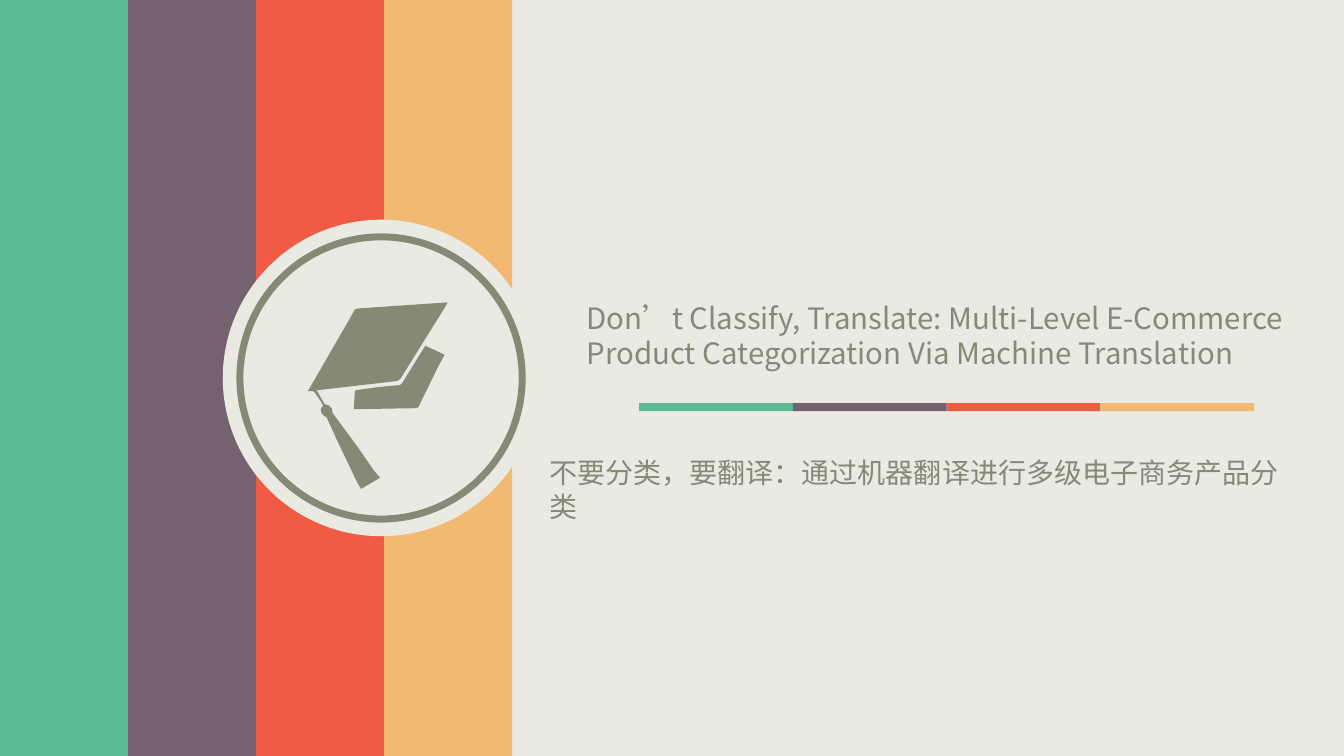
from pptx import Presentation, util as u
from pptx.dml.color import RGBColor
from pptx.enum import shapes, text
from pptx.oxml.ns import qn
from lxml import etree

COLORS = {"paper": "EBEAE2", "olive": "858976", "green": "5ABB93",
          "plum": "756271", "red": "EF5B43", "sand": "F2B973"}
STRIPES = ("green", "plum", "red", "sand")
FONT = "Noto Sans CJK SC"
BOARD_AND_TASSEL = [
    (3.14, 3.87), (3.22, 4.01), (3.26, 4.02), (3.29, 4.05), (3.3, 4.1),
    (3.53, 4.41), (3.71, 4.67), (3.77, 4.74), (3.58, 4.85), (3.54, 4.78),
    (3.33, 4.34), (3.24, 4.14), (3.22, 4.13), (3.19, 4.1), (3.18, 4.06),
    (3.2, 4.03), (3.2, 4.01), (3.12, 3.89), (3.1, 3.88), (3.05, 3.88),
    (3.06, 3.87), (3.47, 3.16), (3.52, 3.07), (3.55, 3.06), (4.29, 3.01),
    (4.44, 3), (4.4, 3.07), (3.97, 3.76), (3.94, 3.78), (3.16, 3.87)]
CAP_BASE = [
    (3.51, 4.06), (3.52, 3.88), (3.54, 3.87), (3.76, 3.84), (3.97, 3.82),
    (3.99, 3.8), (4.2, 3.46), (4.22, 3.43), (4.41, 3.52), (4.34, 3.65),
    (4.15, 4.04), (4.12, 4.05), (3.52, 4.06)]


def rgb(name):
    """Return the named colour."""
    return RGBColor.from_string(COLORS[name])


def paint(shape, fill=None, line=None, width=0):
    """Give a shape its fill and outline, without a shadow."""
    shape.shadow.inherit = False
    if fill:
        shape.fill.solid()
        shape.fill.fore_color.rgb = rgb(fill)
    else:
        shape.fill.background()
    if line:
        shape.line.color.rgb = rgb(line)
        shape.line.width = u.Pt(width)
    else:
        shape.line.fill.background()


def add_bands(page, left, top, width, height):
    """Place the four coloured bands side by side."""
    for index, color in enumerate(STRIPES):
        band = page.shapes.add_shape(
            shapes.MSO_SHAPE.RECTANGLE, u.Inches(left + index * width),
            u.Inches(top), u.Inches(width), u.Inches(height))
        paint(band, color)


def add_circle(page, center, radius, **look):
    """Draw a circle around a centre point."""
    x, y = center
    circle = page.shapes.add_shape(
        shapes.MSO_SHAPE.OVAL, u.Inches(x - radius), u.Inches(y - radius),
        u.Inches(2 * radius), u.Inches(2 * radius))
    paint(circle, **look)


def add_outline(page, points, fill):
    """Draw a closed filled outline."""
    start, *rest = [(u.Inches(x), u.Inches(y)) for x, y in points]
    builder = page.shapes.build_freeform(*start)
    builder.add_line_segments(rest, close=True)
    paint(builder.convert_to_shape(), fill)


def add_text(page, area, lines, size):
    """Add a wrapped text box with one paragraph per line."""
    box = page.shapes.add_textbox(*map(u.Inches, area))
    frame = box.text_frame
    frame.word_wrap = True
    frame.vertical_anchor = text.MSO_ANCHOR.TOP
    for index, line in enumerate(lines):
        para = frame.paragraphs[0] if index == 0 else frame.add_paragraph()
        span = para.add_run()
        span.text = line
        for name, value in {"size": u.Pt(size), "name": FONT}.items():
            setattr(span.font, name, value)
        span.font.color.rgb = rgb("olive")
        etree.SubElement(span.font._element, qn("a:ea"), typeface=FONT)


def main():
    """Build the title slide."""
    deck = Presentation()
    deck.slide_width, deck.slide_height = u.Inches(13.33), u.Inches(7.5)
    page = deck.slides.add_slide(deck.slide_layouts[6])
    page.background.fill.solid()
    page.background.fill.fore_color.rgb = rgb("paper")

    add_bands(page, 0, 0, 1.27, 7.5)
    add_circle(page, (3.78, 3.75), 1.57, fill="paper")
    add_circle(page, (3.78, 3.75), 1.4, line="olive", width=5)
    add_outline(page, BOARD_AND_TASSEL, "olive")
    add_outline(page, CAP_BASE, "olive")

    add_bands(page, 6.34, 4, 1.525, 0.08)
    add_text(page, (5.72, 2.93, 7.34, 0.82),
             ["Don’t Classify, Translate: Multi-Level E-Commerce",
              "Product Categorization Via Machine Translation"], 21)
    add_text(page, (5.35, 4.47, 7.7, 0.44),
             ["不要分类，要翻译：通过机器翻译进行多级电子商务产品分类"], 20)
    deck.save("out.pptx")


if __name__ == "__main__":
    main()
